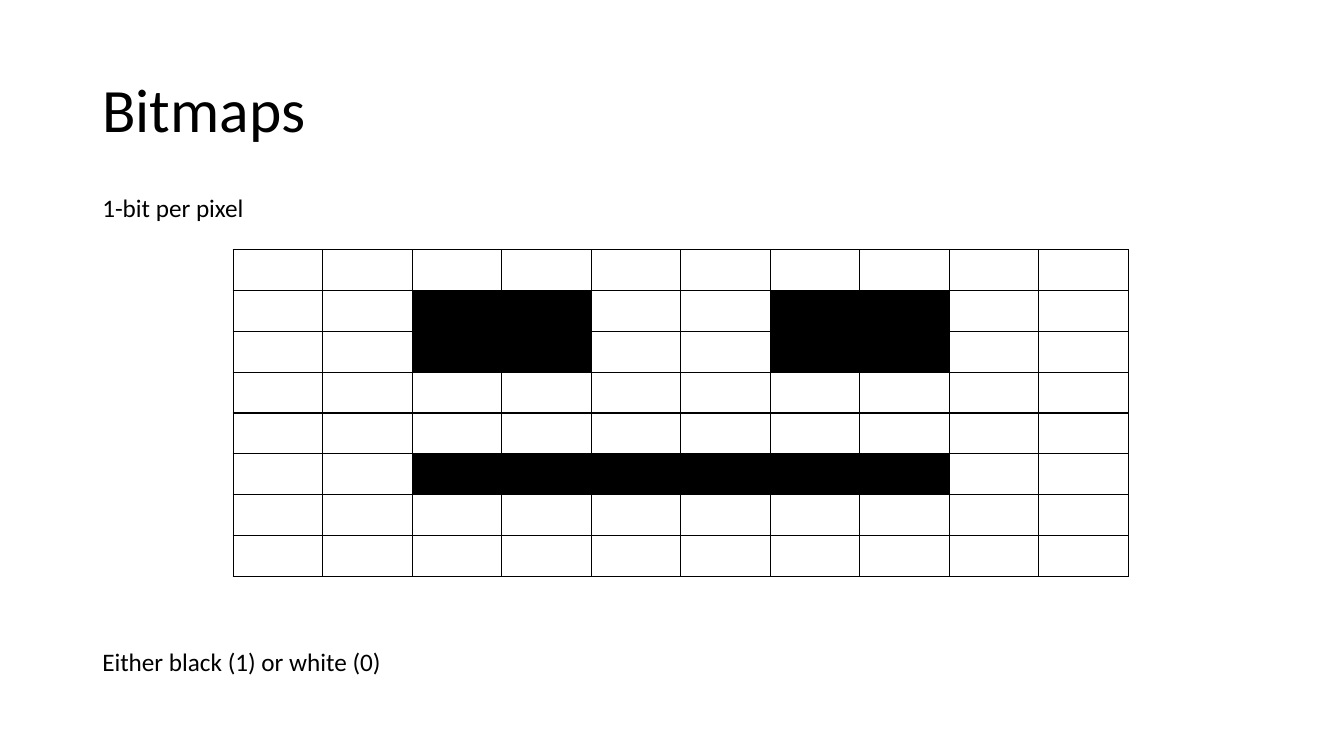
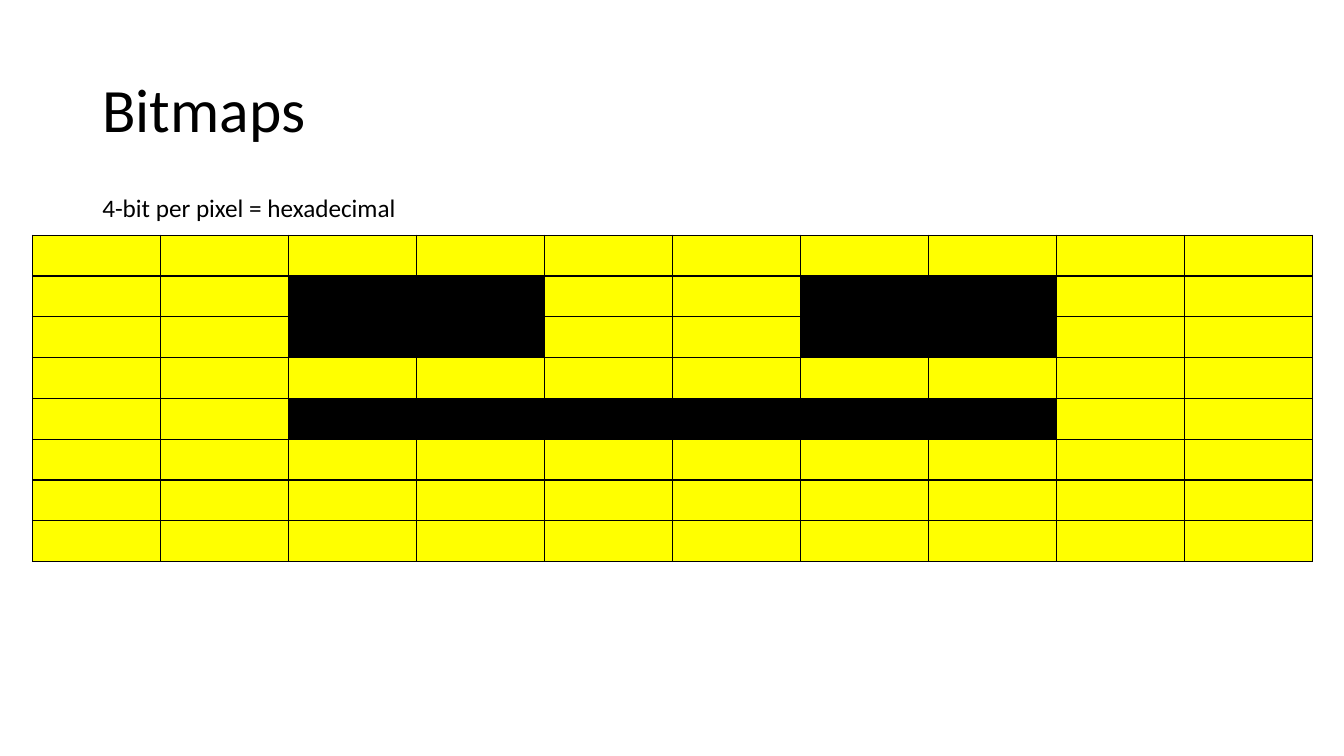
from lxml import etree
from pptx import Presentation
from pptx import util as u
from pptx.dml.color import RGBColor
from pptx.enum import text
from pptx.oxml.ns import qn

# Content: "#" is a black pixel, "." is a background pixel
EYES = "..##..##.."
MOUTH = "..######.."
EMPTY = "." * 10
SLIDES = [
    {
        "title": "Bitmaps",
        "captions": [("1-bit per pixel", 178, 156), ("Either black (1) or white (0)", 611, 288)],
        "pixels": [EMPTY, EYES, EYES, EMPTY, EMPTY, MOUTH, EMPTY, EMPTY],
        "box": (222, 238, 853, 311),
        "background": None,
    },
    {
        "title": "Bitmaps",
        "captions": [("4-bit per pixel = hexadecimal", 178, 302)],
        "pixels": [EMPTY, EYES, EYES, EMPTY, MOUTH, EMPTY, EMPTY, EMPTY],
        "box": (31, 224, 1219, 311),
        "background": "FFFF00",
    },
]

# Shared style
FONT = "Calibri"
BLACK = "000000"
MARGIN = 88
TITLE_BOX = (MARGIN, 38, 1104, 139)
CAPTION_HEIGHT = 39


def px(length):
    return u.Emu(round(length * 9525))


def color(value):
    return RGBColor.from_string(value)


def add_text(slide, words, box, size, wrap=True):
    frame = slide.shapes.add_textbox(*map(px, box)).text_frame
    frame.word_wrap = wrap
    paragraph = frame.paragraphs[0]
    paragraph.text = words
    paragraph.font.name = FONT
    paragraph.font.size = u.Pt(size)
    paragraph.font.color.rgb = color(BLACK)
    return frame


def add_title(slide, words):
    frame = add_text(slide, words, TITLE_BOX, 44)
    frame.vertical_anchor = text.MSO_ANCHOR.MIDDLE
    frame.paragraphs[0].line_spacing = 0.9


def add_borders(cell):
    properties = cell._tc.get_or_add_tcPr()
    for position, side in enumerate(("a:lnL", "a:lnR", "a:lnT", "a:lnB")):
        line = etree.Element(qn(side), w=str(u.Pt(1)))
        fill = etree.SubElement(line, qn("a:solidFill"))
        etree.SubElement(fill, qn("a:srgbClr"), val=BLACK)
        properties.insert(position, line)


def add_bitmap(slide, pixels, box, background):
    left, top, width, height = box
    rows, columns = len(pixels), len(pixels[0])
    table = slide.shapes.add_table(rows, columns, *map(px, box)).table
    table.first_row = table.horz_banding = False
    for column in table.columns:
        column.width = px(width / columns)
    for row, marks in zip(table.rows, pixels):
        row.height = px(height / rows)
        for cell, mark in zip(row.cells, marks):
            fill = BLACK if mark == "#" else background
            if fill:
                cell.fill.solid()
                cell.fill.fore_color.rgb = color(fill)
            else:
                cell.fill.background()
            add_borders(cell)


def main():
    presentation = Presentation()
    presentation.slide_width, presentation.slide_height = px(1280), px(720)
    for content in SLIDES:
        slide = presentation.slides.add_slide(presentation.slide_layouts[6])
        add_title(slide, content["title"])
        add_bitmap(slide, content["pixels"], content["box"], content["background"])
        for words, top, width in content["captions"]:
            frame = add_text(slide, words, (MARGIN, top, width, CAPTION_HEIGHT), 18, wrap=False)
            frame.auto_size = text.MSO_AUTO_SIZE.SHAPE_TO_FIT_TEXT
    presentation.save("out.pptx")


if __name__ == "__main__":
    main()
